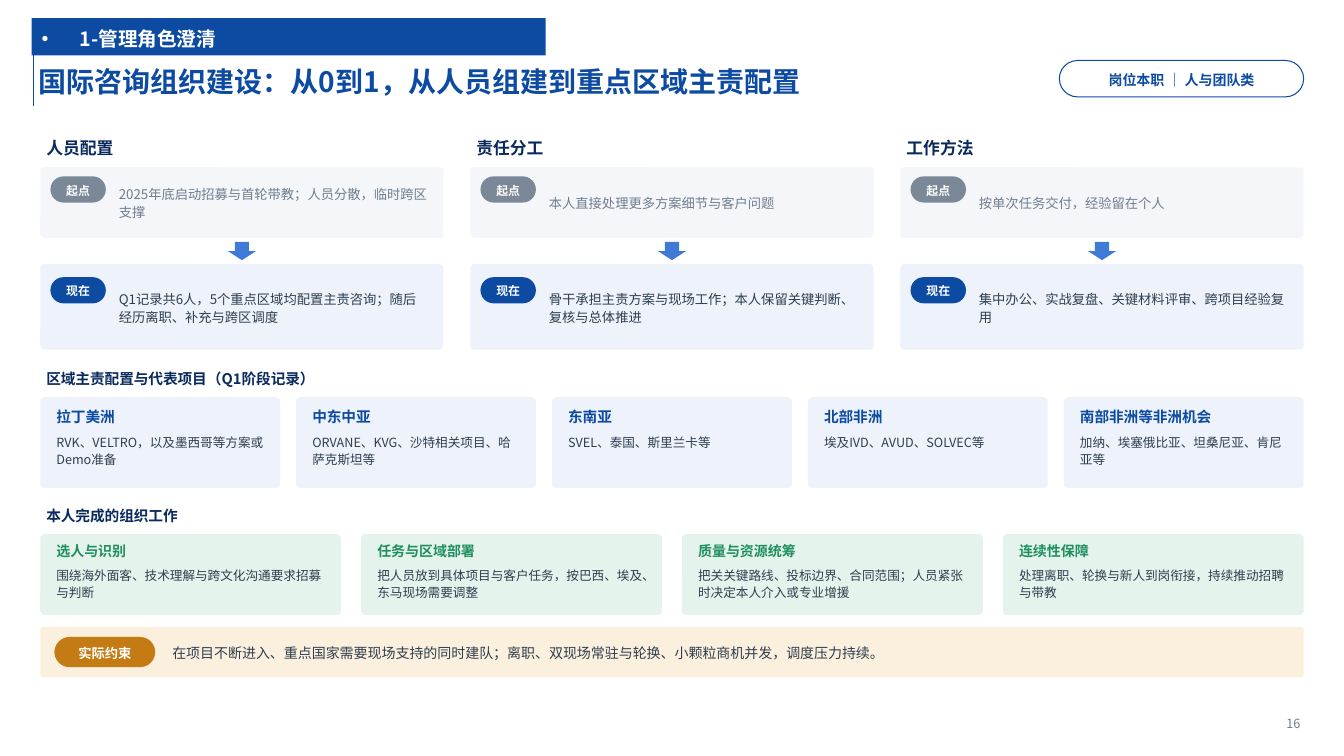
import lxml.etree
import pptx
import pptx.dml.color
import pptx.enum.shapes
import pptx.enum.text
import pptx.oxml.ns
import pptx.util

Pt = pptx.util.Pt
RGBColor = pptx.dml.color.RGBColor
PRESET = pptx.enum.shapes.MSO_SHAPE
ALIGN = pptx.enum.text.PP_ALIGN
ANCHOR = pptx.enum.text.MSO_ANCHOR
qn = pptx.oxml.ns.qn

FONT = "Noto Sans CJK SC"
BLUE = RGBColor(0x0C, 0x4B, 0xA1)
NAVY = RGBColor(0x0A, 0x2A, 0x5E)
ARROW_BLUE = RGBColor(0x3F, 0x7B, 0xD6)
PALE_BLUE = RGBColor(0xEE, 0xF3, 0xFB)
PALE_GREY = RGBColor(0xF4, 0xF6, 0xF9)
SLATE = RGBColor(0x7A, 0x88, 0x98)
GREY = RGBColor(0x6F, 0x7E, 0x8F)
INK = RGBColor(0x2F, 0x3E, 0x4F)
GREEN = RGBColor(0x1F, 0x8F, 0x5F)
PALE_GREEN = RGBColor(0xE4, 0xF4, 0xEC)
AMBER = RGBColor(0xC5, 0x7B, 0x14)
PALE_AMBER = RGBColor(0xFB, 0xF0, 0xDD)
WHITE = RGBColor(0xFF, 0xFF, 0xFF)

LEFT, CONTENT_WIDTH = 28.8, 902.4

ASPECTS = [
    ("人员配置", "2025年底启动招募与首轮带教；人员分散，临时跨区支撑",
     "Q1记录共6人，5个重点区域均配置主责咨询；随后经历离职、补充与跨区调度"),
    ("责任分工", "本人直接处理更多方案细节与客户问题",
     "骨干承担主责方案与现场工作；本人保留关键判断、复核与总体推进"),
    ("工作方法", "按单次任务交付，经验留在个人",
     "集中办公、实战复盘、关键材料评审、跨项目经验复用"),
]
REGIONS = [
    ("拉丁美洲", "RVK、VELTRO，以及墨西哥等方案或Demo准备"),
    ("中东中亚", "ORVANE、KVG、沙特相关项目、哈萨克斯坦等"),
    ("东南亚", "SVEL、泰国、斯里兰卡等"),
    ("北部非洲", "埃及IVD、AVUD、SOLVEC等"),
    ("南部非洲等非洲机会", "加纳、埃塞俄比亚、坦桑尼亚、肯尼亚等"),
]
TASKS = [
    ("选人与识别", "围绕海外面客、技术理解与跨文化沟通要求招募与判断"),
    ("任务与区域部署", "把人员放到具体项目与客户任务，按巴西、埃及、东马现场需要调整"),
    ("质量与资源统筹", "把关关键路线、投标边界、合同范围；人员紧张时决定本人介入或专业增援"),
    ("连续性保障", "处理离职、轮换与新人到岗衔接，持续推动招聘与带教"),
]


def write(shape, text, size, color, bold=False, align=ALIGN.LEFT,
          anchor=ANCHOR.MIDDLE, insets=(4.3, 2.9, 4.3, 2.9)):
    frame = shape.text_frame
    frame.word_wrap = True
    frame.auto_size = pptx.enum.text.MSO_AUTO_SIZE.NONE
    frame.vertical_anchor = anchor
    (frame.margin_left, frame.margin_top,
     frame.margin_right, frame.margin_bottom) = map(Pt, insets)
    frame.text = text
    paragraph = frame.paragraphs[0]
    paragraph.alignment = align
    paragraph.line_spacing = 1.12
    paragraph.space_before = Pt(0)
    run = paragraph.runs[0]
    run.font.size = Pt(size)
    run.font.bold = bold
    run.font.color.rgb = color
    run.font.name = FONT
    # East Asian characters take their own typeface
    lxml.etree.SubElement(run.font._element, qn("a:ea"), typeface=FONT)


def place(shape, x, y, width, height):
    shape.left, shape.top, shape.width, shape.height = map(Pt, (x, y, width, height))


def label(slide, x, y, width, height, text, size, color, **style):
    write(slide.shapes.add_textbox(*map(Pt, (x, y, width, height))),
          text, size, color, **style)


def block(slide, preset, x, y, width, height, fill, rounding=None):
    shape = slide.shapes.add_shape(preset, *map(Pt, (x, y, width, height)))
    shape.shadow.inherit = False
    shape.fill.solid()
    shape.fill.fore_color.rgb = fill
    shape.line.fill.background()
    if rounding is not None:
        shape.adjustments[0] = rounding
    return shape


def panel(slide, x, y, width, height, fill):
    block(slide, PRESET.ROUNDED_RECTANGLE, x, y, width, height, fill, 0.05)


def pill(slide, x, y, width, height, text, size, fill, color=WHITE):
    shape = block(slide, PRESET.ROUNDED_RECTANGLE, x, y, width, height, fill, 0.5)
    write(shape, text, size, color, bold=True, align=ALIGN.CENTER,
          insets=(2.9, 0, 2.9, 0))
    return shape


def columns(entries, gap):
    """Yield left edge, width and entry for equal columns across the content."""
    width = (CONTENT_WIDTH - gap * (len(entries) - 1)) / len(entries)
    for index, entry in enumerate(entries):
        yield LEFT + index * (width + gap), width, entry


def stage(slide, x, y, width, height, fill, tag, tag_offset, tag_fill, text, color):
    panel(slide, x, y, width, height, fill)
    pill(slide, x + 7.2, y + tag_offset, 39.6, 18.7, tag, 8.5, tag_fill)
    label(slide, x + 51.8, y, 230.4, height, text, 9.5, color)


def card_row(slide, entries, gap, y, height, fill, head_size, head_color,
             head_offset, head_height, body_offset):
    for x, width, (heading, detail) in columns(entries, gap):
        panel(slide, x, y, width, height, fill)
        label(slide, x + 7.2, y + head_offset, width - 14.4, head_height,
              heading, head_size, head_color, bold=True)
        label(slide, x + 7.2, y + body_offset, width - 14.4,
              height - body_offset - 1.8, detail, 9, INK, anchor=ANCHOR.TOP)


def header(slide):
    title, section = slide.shapes.title, slide.placeholders[1]
    place(title, 23.8, 38.2, 828, 37.4)
    write(title, "国际咨询组织建设：从0到1，从人员组建到重点区域主责配置",
          20, BLUE, bold=True, insets=(3.6, 0, 3.6, 0))

    place(section, 22.6, 13, 367.2, 26.6)
    section.fill.solid()
    section.fill.fore_color.rgb = BLUE
    properties = section.text_frame.paragraphs[0]._p.get_or_add_pPr()
    properties.set("marL", "0")
    properties.set("indent", "0")
    lxml.etree.SubElement(properties, qn("a:buNone"))
    write(section, "1-管理角色澄清", 14, WHITE, bold=True, insets=(7.2, 0, 3.6, 0))

    rule = slide.shapes.add_connector(pptx.enum.shapes.MSO_CONNECTOR.STRAIGHT,
                                      *map(Pt, (23.9, 17.3, 23.9, 75.6)))
    rule.line.color.rgb = BLUE
    rule.line.width = Pt(1)
    lxml.etree.SubElement(rule._element.spPr, qn("a:effectLst"))

    category = pill(slide, 756.7, 43.2, 174.5, 26, "岗位本职 ｜ 人与团队类",
                    10, WHITE, BLUE)
    category.line.color.rgb = BLUE
    category.line.width = Pt(0.75)


def main():
    deck = pptx.Presentation()
    deck.slide_width, deck.slide_height = Pt(960), Pt(540)
    slide = deck.slides.add_slide(deck.slide_layouts[1])
    header(slide)
    label(slide, 864, 505.4, 68.4, 21.6, "16", 9, GREY,
          align=ALIGN.RIGHT, insets=(0, 0, 3.6, 0))

    # Start and present state of each aspect
    for x, width, (aspect, start, now) in columns(ASPECTS, 19.2):
        label(slide, x, 92.2, width, 24.5, aspect, 12, NAVY, bold=True)
        stage(slide, x, 119.5, width, 50.4, PALE_GREY, "起点", 6.5, SLATE, start, GREY)
        block(slide, PRESET.DOWN_ARROW, x + width / 2 - 10.1, 172.8, 20.2, 13, ARROW_BLUE)
        stage(slide, x, 188.6, width, 61.2, PALE_BLUE, "现在", 9.4, BLUE, now, INK)

    # Regions and their projects
    label(slide, LEFT, 259.2, 259.2, 21.6, "区域主责配置与代表项目（Q1阶段记录）",
          10.5, NAVY, bold=True)
    card_row(slide, REGIONS, 11.5, 283.7, 64.8, PALE_BLUE, 10.5, BLUE, 2.2, 21.6, 23)

    # Organisational work
    label(slide, LEFT, 357.1, 216, 21.6, "本人完成的组织工作", 10.5, NAVY, bold=True)
    card_row(slide, TASKS, 14.4, 381.6, 57.6, PALE_GREEN, 10, GREEN, 1.4, 20.2, 20.2)

    # Constraint bar
    panel(slide, LEFT, 447.8, CONTENT_WIDTH, 36, PALE_AMBER)
    pill(slide, 38.9, 455, 72, 21.6, "实际约束", 9.5, AMBER)
    label(slide, 118.8, 447.8, 801.4, 36,
          "在项目不断进入、重点国家需要现场支持的同时建队；"
          "离职、双现场常驻与轮换、小颗粒商机并发，调度压力持续。", 10, INK)

    deck.save("out.pptx")


if __name__ == "__main__":
    main()
